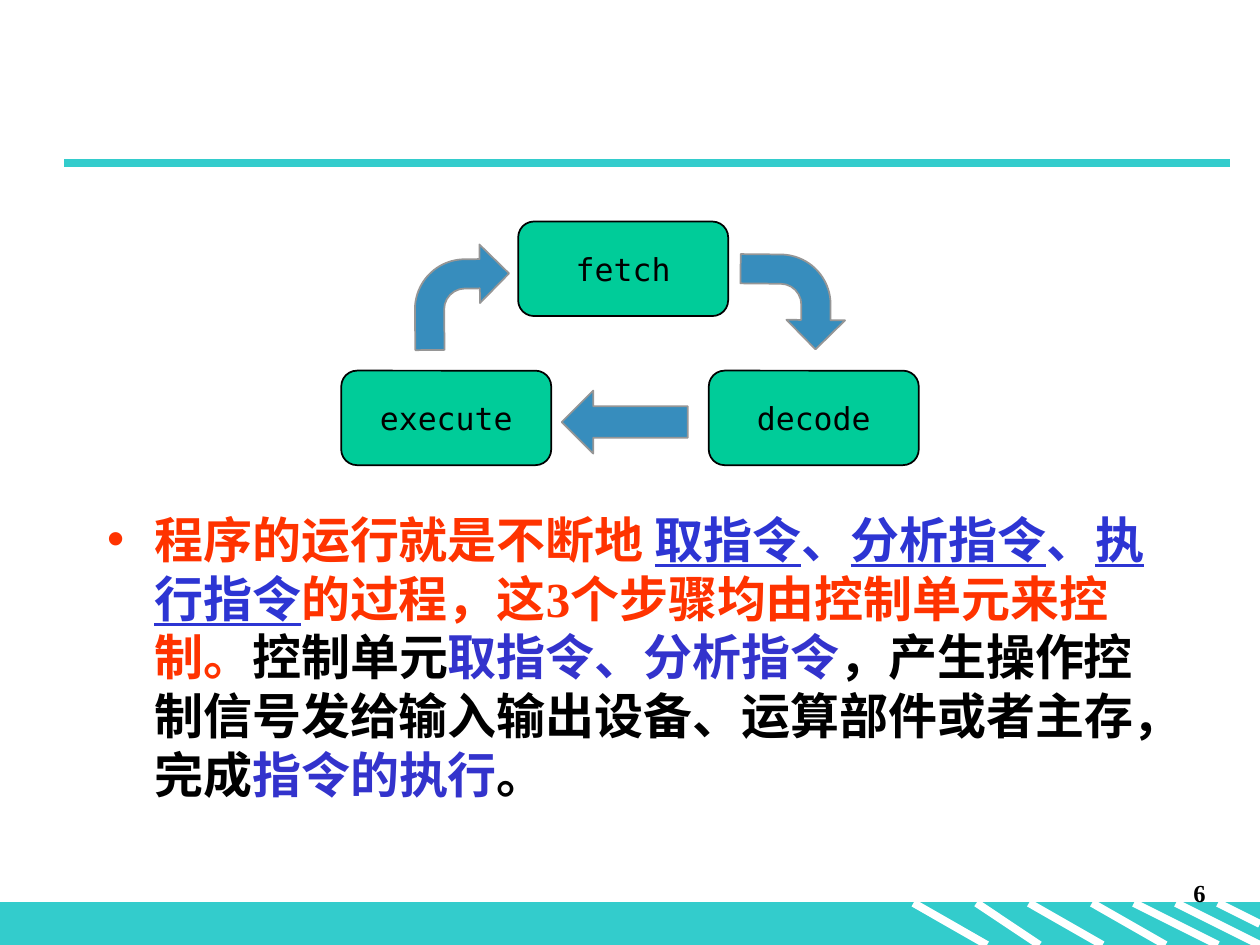
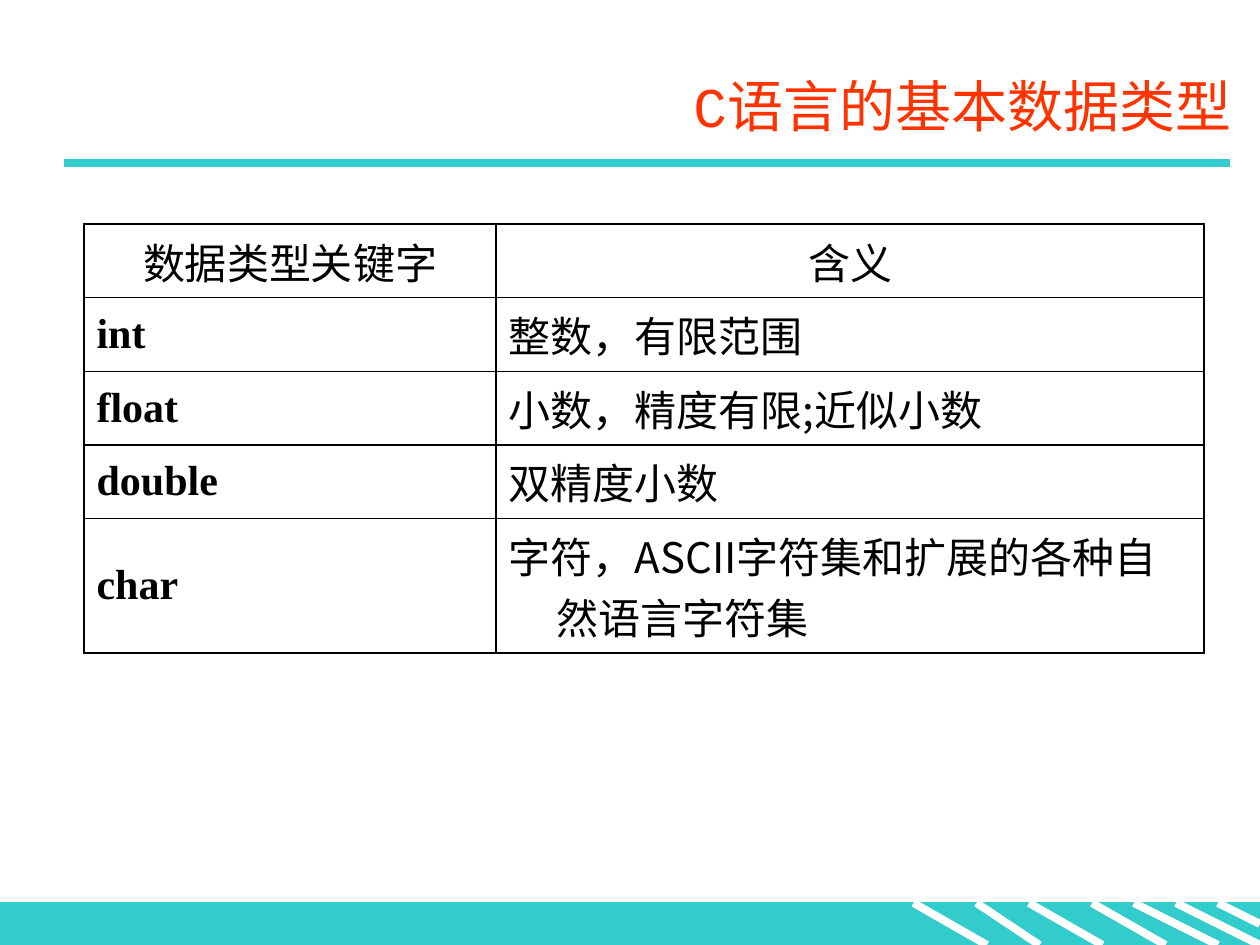
from collections import namedtuple

from lxml import etree
from pptx import Presentation
from pptx.dml.color import RGBColor
from pptx.enum.shapes import MSO_CONNECTOR as Connector, MSO_SHAPE as Shape
from pptx.enum.text import MSO_ANCHOR as Anchor, MSO_AUTO_SIZE as AutoSize, PP_ALIGN as Align
from pptx.oxml.ns import qn
from pptx.util import Inches, Pt

BLACK = RGBColor(0x00, 0x00, 0x00)
WHITE = RGBColor(0xFF, 0xFF, 0xFF)
TEAL = RGBColor(0x33, 0xCC, 0xCC)
RED = RGBColor(0xFF, 0x33, 0x00)
BLUE = RGBColor(0x33, 0x33, 0xCC)
STEP_BLUE = RGBColor(0x2D, 0x35, 0xD3)
NODE_GREEN = RGBColor(0x00, 0xCC, 0x99)
ARROW_BLUE = RGBColor(0x37, 0x8D, 0xBD)
ARROW_EDGE = RGBColor(0x96, 0x96, 0x96)

SERIF = "Times New Roman"
MONO = "DejaVu Sans Mono"
TITLE_FONT = "Courier New"
CHINESE = "Noto Sans CJK SC"

# Grid of 120 columns by 90 rows over the slide
COLUMNS, ROWS = 120, 90
WIDTH, HEIGHT = Inches(10), Inches(7.5)
Box = namedtuple("Box", "left top width height")

STRIP = Box(0, 86, COLUMNS, 4)
NUMBER = Box(91, 83, 25, 6)
TITLE = Box(16.5, 5.3, 102, 9.5)
CYCLE = Box(32.5, 21.1, 55, 23.2)
BODY = Box(9, 47.9, 102, 30)
TABLE = Box(8, 21.35, 106.7, 31)

# Start column, end column and depth in rows of each stripe in the strip
STRIPES = [(87, 94, 4), (93, 99, 4), (98, 105, 4), (104, 111, 4),
           (108, 116, 4), (112, 120, 4), (116, 120, 2)]

EXPLANATION = [
    ("程序的运行就是不断地 ", RED, False),
    ("取指令", STEP_BLUE, True),
    ("、", STEP_BLUE, False),
    ("分析指令", STEP_BLUE, True),
    ("、", STEP_BLUE, False),
    ("执行指令", STEP_BLUE, True),
    ("的过程，这3个步骤均由控制单元来控制。", RED, False),
    ("控制单元", BLACK, False),
    ("取指令、分析指令", BLUE, False),
    ("，产生操作控制信号发给输入输出设备、运算部件或者主存，完成", BLACK, False),
    ("指令的执行", BLUE, False),
    ("。", BLACK, False),
]

DATA_TYPES = [
    ("数据类型关键字", "含义"),
    ("int", "整数，有限范围"),
    ("float", "小数，精度有限;近似小数"),
    ("double", "双精度小数"),
    ("char", "字符，ASCII字符集和扩展的各种自然语言字符集"),
]


def across(columns):
    return round(WIDTH * columns / COLUMNS)


def down(rows):
    return round(HEIGHT * rows / ROWS)


def lengths(box):
    return across(box.left), down(box.top), across(box.width), down(box.height)


def within(region, left, top, width, height):
    return Box(region.left + left, region.top + top, width, height)


def style(paragraph, name, size, colour=BLACK, bold=False, align=None):
    font = paragraph.font
    font.name, font.size, font.bold = name, Pt(size), bold
    font.color.rgb = colour
    east_asian = etree.SubElement(font._element, qn("a:ea"))
    east_asian.set("typeface", CHINESE)
    if align is not None:
        paragraph.alignment = align


def place(placeholder, box):
    placeholder.left, placeholder.top, placeholder.width, placeholder.height = lengths(box)
    placeholder.text_frame.auto_size = AutoSize.NONE


def add_block(slide, kind, box, fill, edge, weight=1):
    shape = slide.shapes.add_shape(kind, *lengths(box))
    shape.shadow.inherit = False
    shape.fill.solid()
    shape.fill.fore_color.rgb = fill
    shape.line.color.rgb = edge
    shape.line.width = Pt(weight)
    return shape


def add_line(slide, start, end, colour):
    line = slide.shapes.add_connector(
        Connector.STRAIGHT, across(start[0]), down(start[1]), across(end[0]), down(end[1]))
    line.line.color.rgb = colour
    line.line.width = Pt(4.5)
    etree.SubElement(line._element.spPr, qn("a:effectLst"))


def add_frame(slide):
    """Striped strip at the foot and the rule under the title."""
    add_block(slide, Shape.RECTANGLE, STRIP, TEAL, TEAL, 0.75)
    for start, end, depth in STRIPES:
        add_line(slide, (start, STRIP.top), (end, STRIP.top + depth), WHITE)
    add_line(slide, (6.1, 15.5), (117.1, 15.5), TEAL)


def add_number(slide, box, number):
    text_box = slide.shapes.add_textbox(*lengths(box))
    text_box.text_frame.word_wrap = True
    paragraph = text_box.text_frame.paragraphs[0]
    paragraph.text = number
    style(paragraph, SERIF, 14, bold=True, align=Align.RIGHT)


def add_cycle(slide, box):
    """Three steps joined clockwise by block arrows."""
    lower_row = 14.2
    for name, left, top in [("fetch", 16.85, 0), ("decode", 35, lower_row),
                            ("execute", 0, lower_row)]:
        step = add_block(slide, Shape.ROUNDED_RECTANGLE,
                         within(box, left, top, 20, 9), NODE_GREEN, BLACK)
        step.text_frame.word_wrap = False
        step.text_frame.vertical_anchor = Anchor.MIDDLE
        paragraph = step.text_frame.paragraphs[0]
        paragraph.text = name
        style(paragraph, MONO, 18, align=Align.CENTER)

    # Bent arrows into and out of the top step
    for left, top, rotation in [(7, 2.2, 359.4), (38.5, 2.65, 90.6)]:
        arrow = add_block(slide, Shape.BENT_ARROW,
                          within(box, left, top, 9, 10), ARROW_BLUE, ARROW_EDGE)
        arrow.rotation = rotation
        for index, share in enumerate((0.31, 0.31, 0.31, 0.53)):
            arrow.adjustments[index] = share
    add_block(slide, Shape.LEFT_ARROW, within(box, 21, 16.1, 12, 6), ARROW_BLUE, ARROW_EDGE)


def add_explanation(placeholder, box):
    place(placeholder, box)
    paragraph = placeholder.text_frame.paragraphs[0]
    style(paragraph, SERIF, 28, bold=True)
    for text, colour, underlined in EXPLANATION:
        run = paragraph.add_run()
        run.text = text
        run.font.color.rgb = colour
        run.font.underline = underlined


def add_borders(cell):
    properties = cell._tc.get_or_add_tcPr()
    for side in ("lnL", "lnR", "lnT", "lnB"):
        border = etree.SubElement(properties, qn(f"a:{side}"), w=str(Pt(1)))
        fill = etree.SubElement(border, qn("a:solidFill"))
        etree.SubElement(fill, qn("a:srgbClr"), val=str(BLACK))


def add_type_table(slide, box):
    table = slide.shapes.add_table(len(DATA_TYPES), 2, *lengths(box)).table
    table.first_row = table.horz_banding = False
    keyword_width = 39.25
    table.columns[0].width = across(keyword_width)
    table.columns[1].width = across(box.width - keyword_width)
    for row_index, texts in enumerate(DATA_TYPES):
        table.rows[row_index].height = down(box.height / len(DATA_TYPES))
        for column_index, text in enumerate(texts):
            cell = table.cell(row_index, column_index)
            add_borders(cell)
            cell.fill.solid()
            cell.fill.fore_color.rgb = WHITE
            cell.vertical_anchor = Anchor.MIDDLE
            paragraph = cell.text_frame.paragraphs[0]
            paragraph.text = text
            header = row_index == 0
            keyword = column_index == 0 and not header
            style(paragraph, SERIF if keyword else CHINESE, 24, bold=keyword,
                  align=Align.CENTER if header else Align.LEFT)
            # Hanging indent
            properties = paragraph._p.get_or_add_pPr()
            properties.set("marL", str(Inches(0.38)))
            properties.set("indent", str(-Inches(0.38)))


def build_cycle_slide(presentation):
    slide = presentation.slides.add_slide(presentation.slide_layouts[1])
    title = slide.shapes.title._element
    title.getparent().remove(title)
    add_frame(slide)
    add_number(slide, NUMBER, "6")
    add_cycle(slide, CYCLE)
    add_explanation(slide.placeholders[1], BODY)


def build_types_slide(presentation):
    slide = presentation.slides.add_slide(presentation.slide_layouts[5])
    add_frame(slide)
    title = slide.shapes.title
    place(title, TITLE)
    title.text_frame.vertical_anchor = Anchor.MIDDLE
    paragraph = title.text_frame.paragraphs[0]
    paragraph.text = "C语言的基本数据类型"
    style(paragraph, TITLE_FONT, 32, RED, align=Align.RIGHT)
    add_type_table(slide, TABLE)


def main():
    presentation = Presentation()
    presentation.slide_width, presentation.slide_height = WIDTH, HEIGHT
    build_cycle_slide(presentation)
    build_types_slide(presentation)
    presentation.save("out.pptx")


if __name__ == "__main__":
    main()
